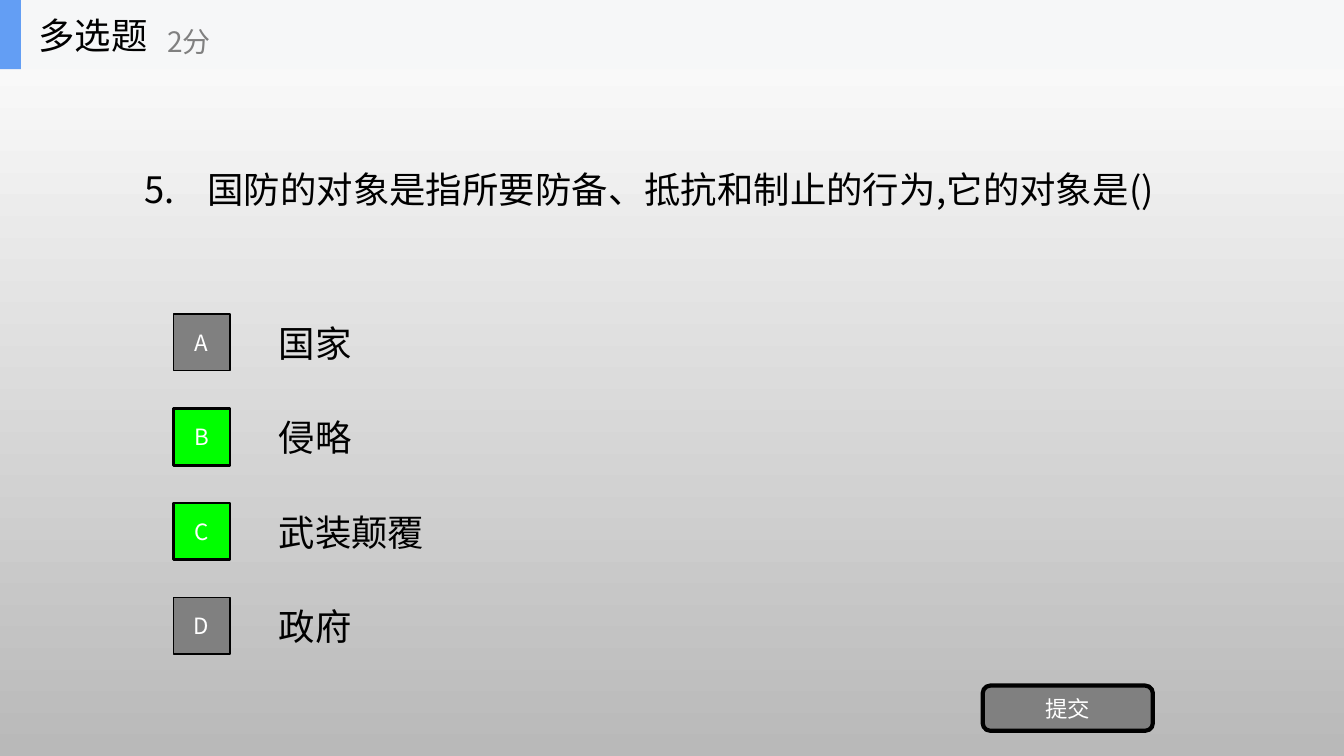
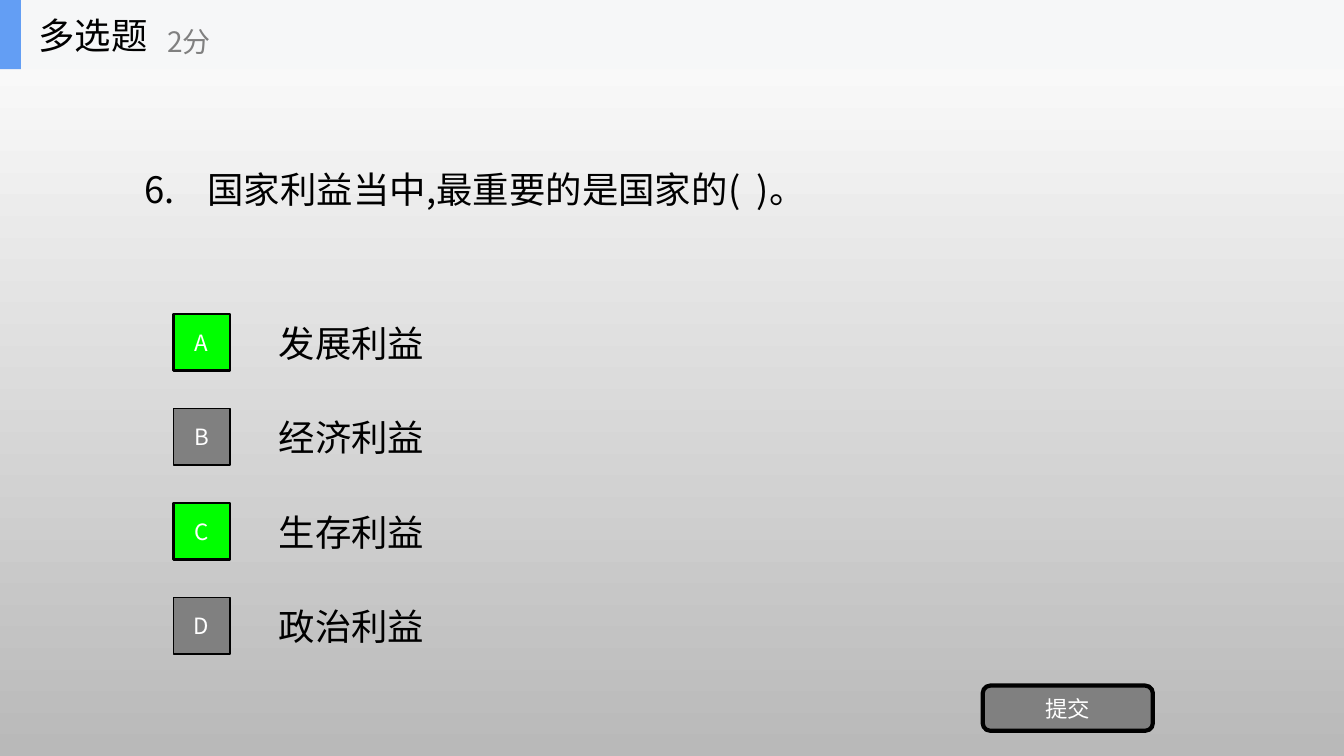
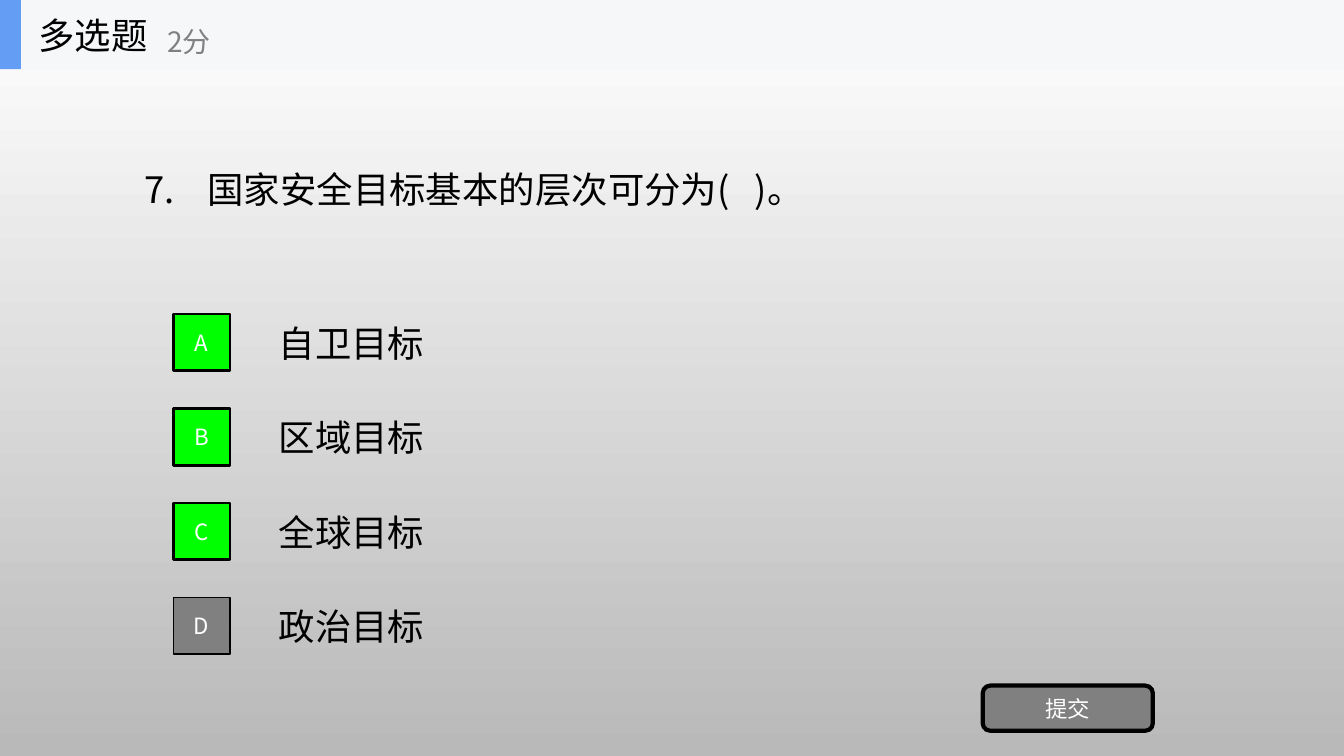
from lxml import etree
from pptx import Presentation
from pptx import util as u
from pptx.dml import color
from pptx.enum import shapes, text
from pptx.oxml import ns

PX = 9525
FONT = "Noto Sans CJK SC"
COLORS = {
    "ink": "000000",
    "white": "FFFFFF",
    "grey": "808080",
    "correct": "00FF00",
    "band": "F6F7F8",
    "accent": "639EF4",
    "shade": "B9B9B9",
}
RECT = shapes.MSO_SHAPE.RECTANGLE
ROUNDED = shapes.MSO_SHAPE.ROUNDED_RECTANGLE
LEFT = text.PP_ALIGN.LEFT
CENTER = text.PP_ALIGN.CENTER

QUESTIONS = [
    ("5.    国防的对象是指所要防备、抵抗和制止的行为,它的对象是()", 997,
     ["国家", "侵略", "武装颠覆", "政府"], "BC"),
    ("6.    国家利益当中,最重要的是国家的(  )。", 672,
     ["发展利益", "经济利益", "生存利益", "政治利益"], "AC"),
    ("7.    国家安全目标基本的层次可分为(   )。", 674,
     ["自卫目标", "区域目标", "全球目标", "政治目标"], "ABC"),
]


def write(box, words, size, ink, align=LEFT, fit=text.MSO_AUTO_SIZE.NONE):
    frame = box.text_frame
    frame.word_wrap = True
    frame.auto_size = fit
    frame.vertical_anchor = text.MSO_ANCHOR.MIDDLE
    para = frame.paragraphs[0]
    para.text = words
    para.alignment = align
    para.font.name = FONT
    para.font.size = u.Pt(size)
    para.font.color.rgb = color.RGBColor.from_string(COLORS[ink])
    defaults = para._p.pPr.find(ns.qn("a:defRPr"))
    etree.SubElement(defaults, ns.qn("a:ea"), typeface=FONT)


def block(parent, kind, place, fill, line=0):
    shape = parent.add_shape(kind, *[n * PX for n in place])
    shape.shadow.inherit = False
    shape.fill.solid()
    shape.fill.fore_color.rgb = color.RGBColor.from_string(COLORS[fill])
    if line:
        shape.line.color.rgb = color.RGBColor.from_string(COLORS["ink"])
        shape.line.width = u.Pt(line)
    else:
        shape.line.fill.background()
    return shape


deck = Presentation()
deck.slide_width = 1280 * PX
deck.slide_height = 720 * PX

backdrop = deck.slide_master.background.fill
backdrop.gradient()
backdrop.gradient_angle = 270
for stop, name in zip(backdrop.gradient_stops, ["white", "shade"]):
    stop.color.rgb = color.RGBColor.from_string(COLORS[name])

GROW = text.MSO_AUTO_SIZE.SHAPE_TO_FIT_TEXT

for question, width, options, answers in QUESTIONS:
    page = deck.slides.add_slide(deck.slide_layouts[5])
    title = page.shapes.title
    title.left, title.top = 128 * PX, 154 * PX
    title.width, title.height = width * PX, 51 * PX
    write(title, question, 26, "ink", fit=GROW)

    for row, (letter, option) in enumerate(zip("ABCD", options)):
        label_width = 28 + 35 * len(option)
        label = page.shapes.add_textbox(
            256 * PX, (301 + 90 * row) * PX, label_width * PX, 51 * PX)
        write(label, option, 26, "ink", fit=GROW)
        fill, line = ("correct", 2) if letter in answers else ("grey", 1)
        badge = block(page.shapes, RECT, (165, 299 + 90 * row, 54, 54), fill, line)
        write(badge, letter, 16, "white", CENTER)

    button = block(page.shapes, ROUNDED, (936, 653, 162, 43), "grey", 3)
    write(button, "提交", 16, "white", CENTER)

    header = page.shapes.add_group_shape().shapes
    block(header, RECT, (0, 0, 1280, 66), "band")
    block(header, RECT, (0, 0, 20, 66), "accent")
    category = header.add_textbox(27 * PX, 0, 200 * PX, 66 * PX)
    write(category, "多选题", 26, "ink")
    points = header.add_textbox(150 * PX, 12 * PX, 240 * PX, 54 * PX)
    write(points, "2分", 20, "grey")

deck.save("out.pptx")
